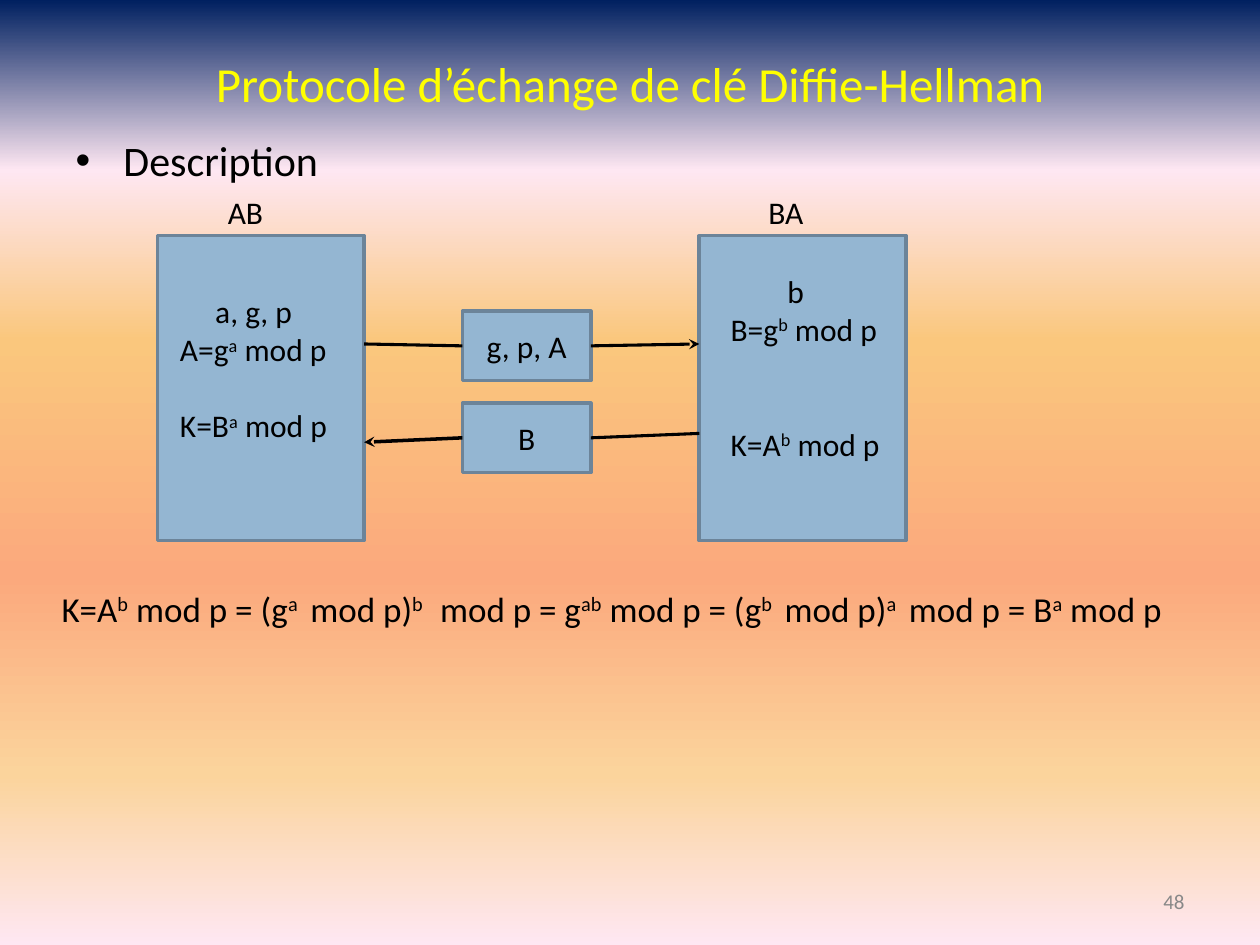
"""Build the slide describing the Diffie-Hellman key exchange."""
from dataclasses import dataclass
from typing import Any

import lxml.etree
import pptx
import pptx.dml.color
import pptx.enum.shapes
import pptx.enum.text
import pptx.oxml.ns
import pptx.util

Inches = pptx.util.Inches
Pt = pptx.util.Pt
RGBColor = pptx.dml.color.RGBColor
Align = pptx.enum.text.PP_ALIGN
Anchor = pptx.enum.text.MSO_ANCHOR
qn = pptx.oxml.ns.qn

BLACK = RGBColor(0x00, 0x00, 0x00)
YELLOW = RGBColor(0xFF, 0xFF, 0x00)
GREY = RGBColor(0x88, 0x88, 0x88)
BOX_FILL = RGBColor(0x94, 0xB6, 0xD2)
BOX_LINE = RGBColor(0x6C, 0x84, 0x99)
BACKGROUND_STOPS = (
    (0, RGBColor(0x00, 0x20, 0x60)),
    (18, RGBColor(0xFE, 0xE7, 0xF2)),
    (36, RGBColor(0xFA, 0xC7, 0x7D)),
    (61, RGBColor(0xFB, 0xA9, 0x7D)),
    (82, RGBColor(0xFB, 0xD4, 0x9C)),
    (100, RGBColor(0xFE, 0xE7, 0xF2)),
)
LEFT_SIDE, RIGHT_SIDE = 1, 3
PARTY_TOP, PARTY_WIDTH, PARTY_HEIGHT = 1.87, 1.64, 2.42
MESSAGE_LEFT, MESSAGE_WIDTH, MESSAGE_HEIGHT = 3.67, 1.02, 0.55
LINE_HEIGHT = 22


@dataclass(frozen=True)
class Line:
    """A line of text, with superscripts between carets."""

    text: str
    indent: float = 0
    lines_before: int = 0


@dataclass(frozen=True)
class Party:
    """One side of the exchange."""

    name: str
    left: float
    name_left: float
    steps_left: float
    steps_top: float
    steps: tuple[Line, ...]


@dataclass(frozen=True)
class Message:
    """A value sent between the parties, with its line ends at each party."""

    text: str
    top: float
    ends: tuple[float, float]
    arrow_side: int
    arrow_width: float


PARTIES = (
    Party("AB", 1.25, 1.71, 1.33, 2.27, (
        Line("a, g, p", 0.28),
        Line("A=g^a^ mod p"),
        Line("K=B^a^ mod p", lines_before=1),
    )),
    Party("BA", 5.55, 6.0, 5.7, 2.11, (
        Line("b", 0.45),
        Line("B=g^b^ mod p"),
        Line("K=A^b^ mod p", lines_before=2),
    )),
)
MESSAGES = (
    Message("g, p, A", 2.47, (2.73, 2.73), RIGHT_SIDE, 1.75),
    Message("B", 3.2, (3.51, 3.44), LEFT_SIDE, 2),
)
FORMULA = Line(
    "K=A^b^ mod p = (g^a ^ mod p)^b  ^ mod p = g^ab^ mod p"
    " = (g^b ^ mod p)^a ^ mod p = B^a^ mod p"
)


def apply_format(target: Any, values: dict[str, Any]) -> None:
    """Set each named attribute of the target."""
    for attribute, value in values.items():
        setattr(target, attribute, value)


def place(shape: Any, left: float, top: float, width: float, height: float) -> None:
    """Position a shape, in inches."""
    apply_format(shape, {"left": Inches(left), "top": Inches(top),
                         "width": Inches(width), "height": Inches(height)})


def write(frame: Any, lines: tuple[Line, ...], size: float, color: RGBColor = BLACK,
          align: Any = Align.LEFT, anchor: Any = Anchor.TOP) -> None:
    """Fill a text frame with formatted lines."""
    apply_format(frame, {"word_wrap": True, "vertical_anchor": anchor})
    for index, line in enumerate(lines):
        paragraph = frame.add_paragraph() if index else frame.paragraphs[0]
        paragraph.alignment = align
        if line.lines_before:
            paragraph.space_before = Pt(line.lines_before * LINE_HEIGHT)
        if line.indent:
            paragraph._p.get_or_add_pPr().set("marL", str(Inches(line.indent)))
        for part, text in enumerate(line.text.split("^")):
            run = paragraph.add_run()
            run.text = text
            apply_format(run.font, {"name": "Calibri", "size": Pt(size)})
            run.font.color.rgb = color
            if part % 2:
                run.font._element.set("baseline", "30000")


def add_text(slide: Any, box: tuple[float, ...], lines: tuple[Line, ...],
             size: float, **options: Any) -> None:
    """Add a text box."""
    textbox = slide.shapes.add_textbox(*map(Inches, box))
    write(textbox.text_frame, lines, size, **options)


def add_box(slide: Any, *box: float) -> Any:
    """Add a blue outlined rectangle."""
    rectangle = slide.shapes.add_shape(
        pptx.enum.shapes.MSO_SHAPE.RECTANGLE, *map(Inches, box))
    rectangle.shadow.inherit = False
    rectangle.fill.solid()
    rectangle.fill.fore_color.rgb = BOX_FILL
    rectangle.line.color.rgb = BOX_LINE
    rectangle.line.width = Pt(2)
    return rectangle


def add_link(slide: Any, message_box: Any, side: int, x: float, y: float,
             width: float, arrow: bool) -> None:
    """Join a message to the point where its line meets a party."""
    link = slide.shapes.add_connector(
        pptx.enum.shapes.MSO_CONNECTOR.STRAIGHT, 0, 0, Inches(x), Inches(y))
    link.begin_connect(message_box, side)
    link.line.color.rgb = BLACK
    link.line.width = Pt(width)
    if arrow:
        lxml.etree.SubElement(link.line._get_or_add_ln(), qn("a:tailEnd"), type="stealth")
    lxml.etree.SubElement(link._element.spPr, qn("a:effectLst"))


def add_message(slide: Any, message: Message) -> None:
    """Draw a message and its lines to both parties."""
    box = add_box(slide, MESSAGE_LEFT, message.top, MESSAGE_WIDTH, MESSAGE_HEIGHT)
    write(box.text_frame, (Line(message.text),), 18, align=Align.CENTER, anchor=Anchor.MIDDLE)
    party_edges = (PARTIES[0].left + PARTY_WIDTH, PARTIES[1].left)
    for side, x, y in zip((LEFT_SIDE, RIGHT_SIDE), party_edges, message.ends):
        arrow = side == message.arrow_side
        add_link(slide, box, side, x, y, message.arrow_width if arrow else 1.75, arrow)


def add_party(slide: Any, party: Party) -> None:
    """Draw a party with its name and its calculations."""
    add_box(slide, party.left, PARTY_TOP, PARTY_WIDTH, PARTY_HEIGHT)
    add_text(slide, (party.name_left, 1.48, 0.6, 0.4), (Line(party.name),), 18)
    add_text(slide, (party.steps_left, party.steps_top, 1.48, 1.62), party.steps, 18)


def paint_background(slide: Any) -> None:
    """Fill the background with a vertical gradient."""
    fill = slide.background.fill
    fill.gradient()
    fill.gradient_angle = 270
    stops = slide._element.find(".//" + qn("a:gsLst"))
    stops.clear()
    for position, color in BACKGROUND_STOPS:
        stop = lxml.etree.SubElement(stops, qn("a:gs"), pos=str(position * 1000))
        lxml.etree.SubElement(stop, qn("a:srgbClr"), val=str(color))


def main() -> None:
    """Assemble and save the presentation."""
    deck = pptx.Presentation()
    apply_format(deck, {"slide_width": Inches(10), "slide_height": Inches(7.5)})
    slide = deck.slides.add_slide(deck.slide_layouts[1])
    paint_background(slide)

    title, body = slide.placeholders
    place(title, 0.5, 0.3, 9, 0.72)
    write(title.text_frame, (Line("Protocole d’échange de clé Diffie-Hellman"),), 28,
          YELLOW, Align.CENTER, Anchor.MIDDLE)
    place(body, 0.5, 1.02, 9, 5.68)
    write(body.text_frame, (Line("Description", 0.38),), 24)
    body.text_frame.paragraphs[0]._p.pPr.set("indent", str(-Inches(0.38)))

    for party in PARTIES:
        add_party(slide, party)
    for message in MESSAGES:
        add_message(slide, message)
    add_text(slide, (0.39, 4.61, 9.14, 0.44), (FORMULA,), 20)
    add_text(slide, (7.17, 6.95, 2.33, 0.4), (Line("48"),), 12, color=GREY,
             align=Align.RIGHT, anchor=Anchor.MIDDLE)
    deck.save("out.pptx")


if __name__ == "__main__":
    main()
